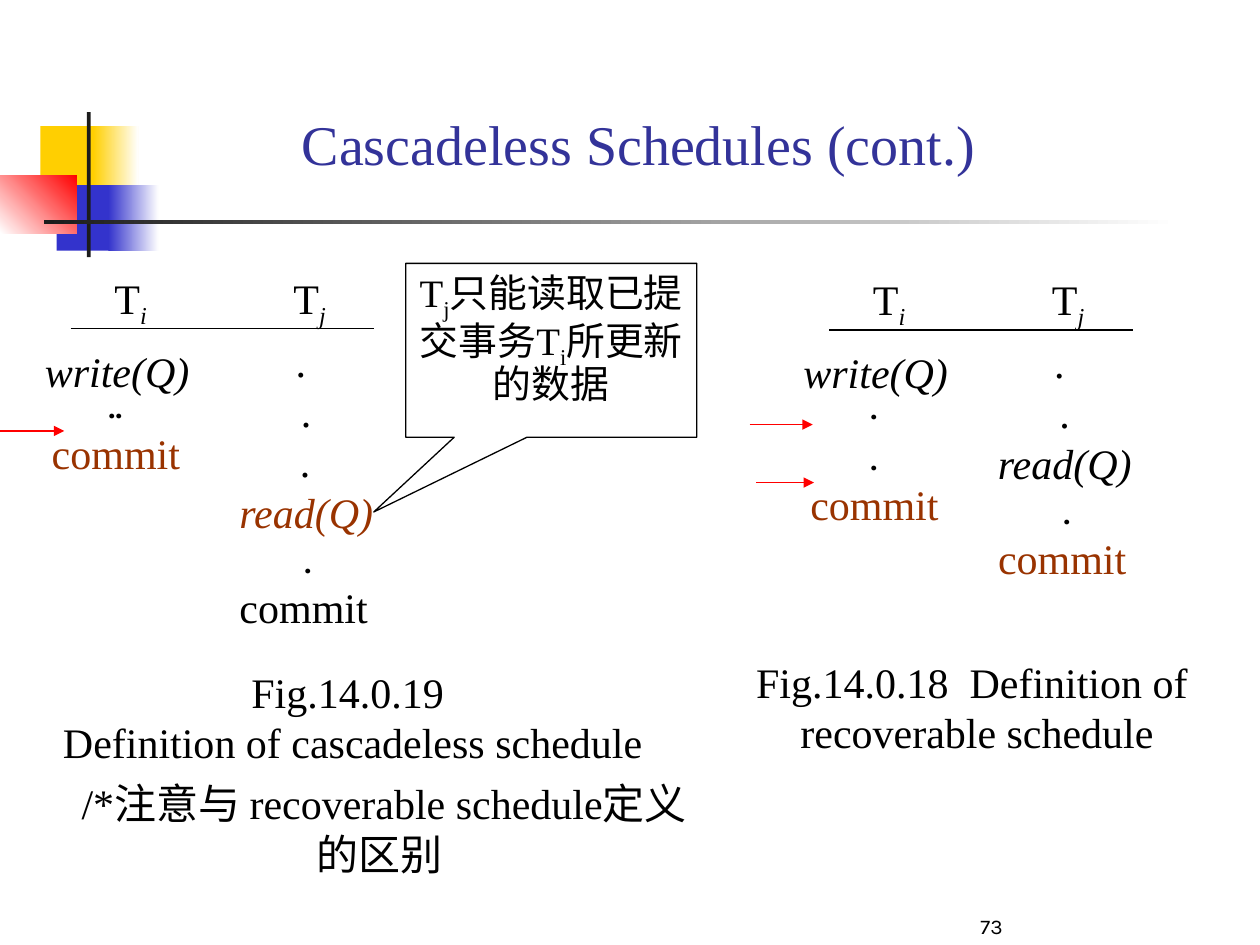
from dataclasses import dataclass
from lxml import etree
from pptx import Presentation, util as u
from pptx.dml.color import RGBColor
from pptx.enum import shapes, text
from pptx.oxml.ns import qn


@dataclass(frozen=True)
class Theme:
    serif: str = "Times New Roman"
    sans: str = "Karla"
    ink: str = "000000"
    accent: str = "993300"
    title: str = "333399"
    arrow: str = "FF0000"
    gold: str = "FFCF01"
    blue: str = "3333CC"
    red: str = "FF0000"
    dark: str = "1C1C1C"
    paper: str = "FFFFFF"
    title_size: float = 32
    body_size: float = 24
    callout_size: float = 22.2
    number_size: float = 12
    hairline: float = 0.75


THEME = Theme()
CELL = u.Inches(0.1)
LINE_ROWS, PADDING_ROWS = 4, 1


@dataclass(frozen=True)
class Box:
    col: float
    row: float
    cols: float
    rows: float

    def inner(self, col, row, cols=0, rows=0):
        return Box(self.col + col, self.row + row, cols, rows)

    def lengths(self):
        return [round(n * CELL) for n in (self.col, self.row, self.cols, self.rows)]


def colour(value):
    return RGBColor.from_string(value)


def write(frame, paras, align=text.PP_ALIGN.CENTER, wrap=True, anchor=text.MSO_ANCHOR.TOP, **para_format):
    for name, value in {"word_wrap": wrap, "vertical_anchor": anchor,
                        "auto_size": text.MSO_AUTO_SIZE.NONE}.items():
        setattr(frame, name, value)
    for index, spans in enumerate(paras):
        para = frame.paragraphs[0] if index == 0 else frame.add_paragraph()
        for name, value in {"alignment": align, **para_format}.items():
            setattr(para, name, value)
        for words, style in spans:
            style = dict(style)
            span = para.add_run()
            span.text = words
            span.font.color.rgb = colour(style.pop("ink", THEME.ink))
            if style.pop("sub", False):
                span.font._element.set("baseline", "-25000")
            size = u.Pt(style.pop("points", THEME.body_size))
            for name, value in {"name": THEME.serif, "size": size, **style}.items():
                setattr(span.font, name, value)


def add_text(group, box, paras, **options):
    frame = group.add_textbox(*box.lengths()).text_frame
    write(frame, paras, **options)
    return frame


def add_lines(group, box, paras, **options):
    rows = LINE_ROWS * len(paras) + PADDING_ROWS
    return add_text(group, box.inner(0, 0, box.cols, rows), paras, **options)


def add_rule(group, box, ink, arrow=False):
    left, top, width, _ = box.lengths()
    line = group.add_connector(shapes.MSO_CONNECTOR.STRAIGHT, left, top, left + width, top)
    line.line.color.rgb = colour(ink)
    line.line.width = u.Pt(THEME.hairline)
    if arrow:
        etree.SubElement(line.line._get_or_add_ln(), qn("a:tailEnd"), type="triangle")
    etree.SubElement(line._element.spPr, qn("a:effectLst"))


def add_block(group, box, start, end=None, angle=0):
    block = group.add_shape(shapes.MSO_SHAPE.RECTANGLE, *box.lengths())
    block.shadow.inherit = False
    block.line.fill.background()
    if end is None:
        block.fill.solid()
        block.fill.fore_color.rgb = colour(start)
        return
    block.fill.gradient()
    block.fill.gradient_angle = angle
    for stop, ink in zip(block.fill.gradient_stops, (start, end)):
        stop.color.rgb = colour(ink)


def decorate(page, box):
    t = THEME
    for place, *paint in (
        ((3.2, 1.1, 4.8, 5.2), t.gold),
        ((7.4, 1.1, 3.6, 5.2), t.gold, t.paper),
        ((4.5, 5.8, 4.6, 5.2), t.blue),
        ((8.6, 5.8, 4, 5.2), t.blue, t.paper),
        ((0, 5, 6.1, 4.6), t.paper, t.red, 45),
        ((6.9, 0, 0.3, 11.5), t.dark),
        ((3.5, 8.6, 90, 0.3), t.dark, t.paper),
    ):
        add_block(page.shapes, box.inner(*place), *paint)


def add_title(page, box):
    title = page.shapes.title
    for name, value in zip(("left", "top", "width", "height"), box.lengths()):
        setattr(title, name, value)
    write(title.text_frame,
          [[("Cascadeless Schedules (cont.)", {"points": THEME.title_size, "ink": THEME.title})]],
          anchor=text.MSO_ANCHOR.BOTTOM)


def add_schedule(page, box, first, second, last, arrows):
    group = page.shapes.add_group_shape().shapes
    sub = {"italic": True, "sub": True}
    heads = add_text(group, box.inner(5.9, 0, 20.8, 5.6),
                     [[("T", {}), ("i", sub), ("\tT", {}), ("j", sub)]],
                     align=text.PP_ALIGN.LEFT)
    tabs = etree.SubElement(heads.paragraphs[0]._p.get_or_add_pPr(), qn("a:tabLst"))
    etree.SubElement(tabs, qn("a:tab"), pos=str(round(14.2 * CELL)), algn="l")
    add_rule(group, box.inner(3.4, 5, 24.1), THEME.ink)
    add_lines(group, box.inner(0, 5.8, 14.2), [[("write(Q)", {"italic": True})]])
    add_lines(group, box.inner(15, 5, 14.2), second)
    add_lines(group, box.inner(0.9, 8.3, 12.2), first, wrap=False)
    add_lines(group, box.inner(15.8, 4.6 + LINE_ROWS * len(second), 12.2), last, wrap=False)
    for col, row, cols in arrows:
        add_rule(group, box.inner(col, row, cols), THEME.arrow, arrow=True)


def add_caption(page, box, lines, note=None, wrap=True):
    frame = add_text(page.shapes, box, [[(line, {})] for line in lines + ([note] if note else [])],
                     wrap=wrap)
    if note:
        for name, value in {"level": 1, "space_before": u.Pt(6)}.items():
            setattr(frame.paragraphs[-1], name, value)


def add_callout(page, box):
    callout = page.shapes.add_shape(shapes.MSO_SHAPE.RECTANGULAR_CALLOUT, *box.lengths())
    callout.shadow.inherit = False
    callout.fill.background()
    callout.line.color.rgb = colour(THEME.ink)
    callout.line.width = u.Pt(THEME.hairline)
    callout.adjustments[0], callout.adjustments[1] = -0.61, 0.93
    latin = {"points": THEME.callout_size}
    sub = {**latin, "sub": True}
    chinese = {**latin, "name": THEME.sans}
    write(callout.text_frame,
          [[("T", latin), ("j", sub), ("只能读取已提交事务", chinese),
            ("T", latin), ("i", sub), ("所更新的数据", chinese)]], line_spacing=0.9)


def add_number(page, box):
    add_text(page.shapes, box, [[("73", {"name": THEME.sans, "points": THEME.number_size})]],
             anchor=text.MSO_ANCHOR.BOTTOM)


def main():
    deck = Presentation()
    deck.slide_width, deck.slide_height = u.Inches(10), u.Inches(7.5)
    page = deck.slides.add_slide(deck.slide_layouts[5])
    sans = {"name": THEME.sans}
    italic = {"italic": True}
    accent = {"ink": THEME.accent}
    dots = [[(". ", {})], [(".", {})]]
    commit = [("commit", accent)]

    decorate(page, Box(0, 8.9, 100, 11.5))
    add_title(page, Box(19.2, 7.8, 63, 6.7))
    add_schedule(page, Box(2.2, 21.1, 29.2, 29.6),
                 first=[[("..", sans)], commit],
                 second=dots + [[(".", italic)], [("read(Q)", {**italic, **accent})]],
                 last=[[(" .", sans)], [("commit", {})]],
                 arrows=[(-2.2, 13.1, 5.1)])
    add_caption(page, Box(0, 52.4, 56, 17.9),
                ["Fig.14.0.19 ", "Definition of cascadeless schedule"],
                "/*注意与 recoverable schedule定义的区别 ")
    add_schedule(page, Box(62.4, 21.2, 29.2, 25.6),
                 first=[[(".", sans)], [(".", sans)], commit],
                 second=dots + [[("read(Q)", italic)]],
                 last=[[(" .", sans)], commit],
                 arrows=[(-2.4, 17.1, 4.6), (-2.9, 12.5, 5)])
    add_caption(page, Box(59, 51.6, 37.1, 9),
                ["Fig.14.0.18  Definition of ", "recoverable schedule"], wrap=False)
    add_callout(page, Box(32.2, 20.9, 23.1, 13.8))
    add_number(page, Box(68.3, 70, 20.8, 5))
    deck.save("out.pptx")


if __name__ == "__main__":
    main()
